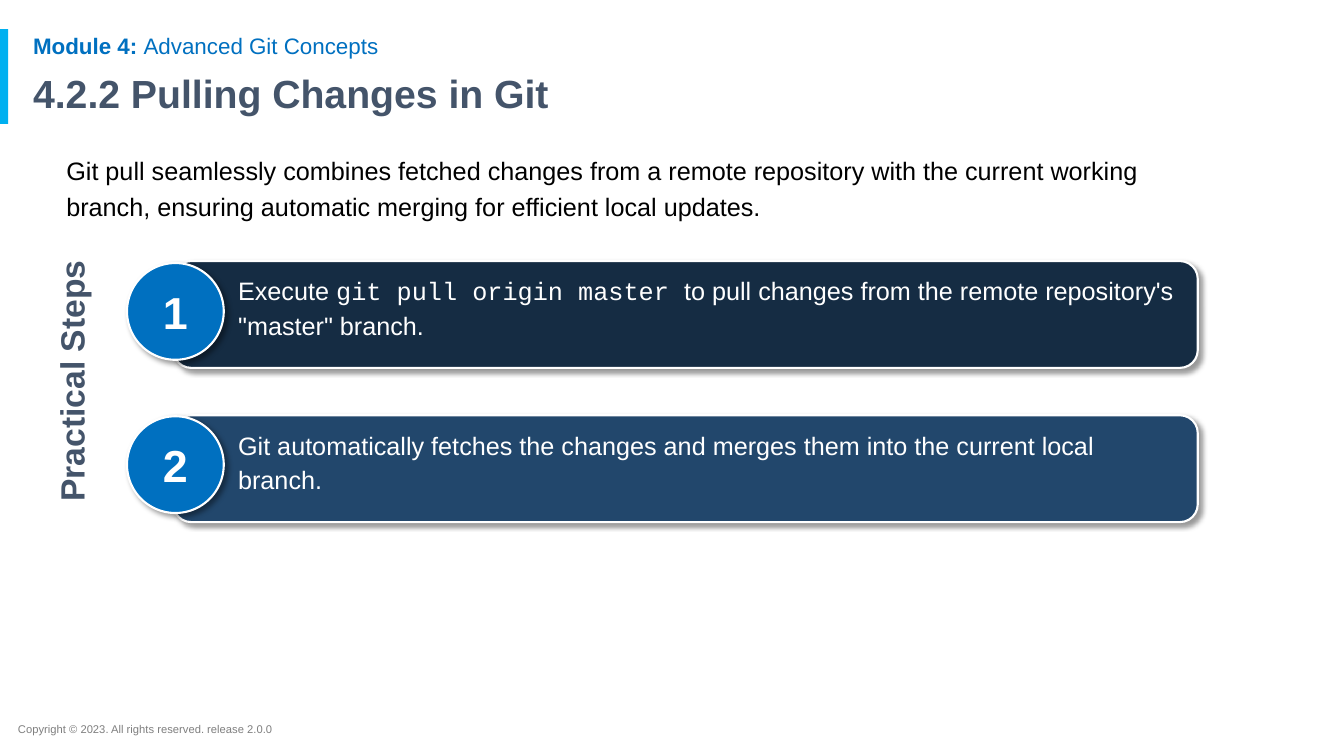
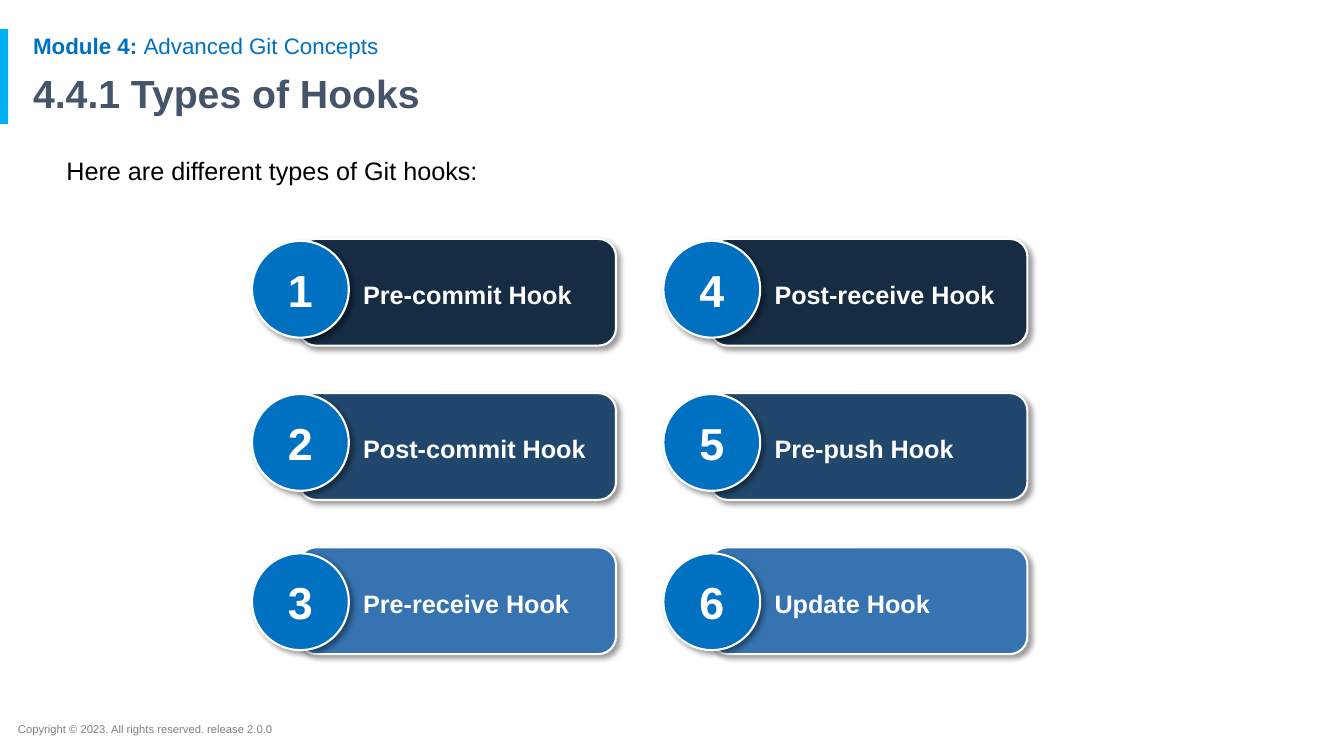
import dataclasses

import lxml.etree
import pptx
import pptx.dml.color
import pptx.enum.shapes
import pptx.enum.text
import pptx.oxml.ns
import pptx.util

Inches = pptx.util.Inches
Pt = pptx.util.Pt
Shape = pptx.enum.shapes.MSO_SHAPE
Anchor = pptx.enum.text.MSO_ANCHOR
Align = pptx.enum.text.PP_ALIGN
qn = pptx.oxml.ns.qn


@dataclasses.dataclass(frozen=True)
class Theme:
    # Fonts and type sizes
    font: str = "Arial"
    code_font: str = "Courier New"
    footer_size: int = 8
    module_size: int = 16
    body_size: int = 18
    label_size: int = 24
    title_size: int = 28
    badge_size: int = 32
    # Colours
    accent: str = "00B0F0"
    blue: str = "0070C0"
    slate: str = "44546A"
    grey: str = "7F7F7F"
    black: str = "000000"
    white: str = "FFFFFF"
    bars: tuple = ("152C43", "22476C", "3673B0")
    # Numbered bars, in inches
    bar_height: float = 1.06
    bar_pitch: float = 1.53
    badge_width: float = 0.96
    badge_left: float = -0.46
    badge_tops: tuple = (0.02, 0.01, 0.06)


THEME = Theme()
INSETS = (0.1, 0.05, 0.1, 0.05)


def rgb(value):
    return pptx.dml.color.RGBColor.from_string(value)


class Deck:
    """Holds the style, the presentation and the current page."""

    def __init__(self, theme):
        self.theme = theme
        self.deck = pptx.Presentation()
        self.deck.slide_width = Inches(13.33)
        self.deck.slide_height = Inches(7.5)
        self.page = None

    def fill_text(self, box, spans, size, color, bold=False, spacing=1.0,
                  align=Align.LEFT, anchor=Anchor.TOP, insets=INSETS):
        """Fill a box with one paragraph; a span is (text, font overrides)."""
        frame = box.text_frame
        frame.word_wrap = True
        frame.vertical_anchor = anchor
        (frame.margin_left, frame.margin_top,
         frame.margin_right, frame.margin_bottom) = map(Inches, insets)
        para = frame.paragraphs[0]
        para.alignment = align
        para.line_spacing = spacing
        para.font.name = self.theme.font
        para.font.size = Pt(size)
        para.font.bold = bold
        para.font.color.rgb = rgb(color)
        if isinstance(spans, str):
            spans = [(spans, {})]
        for words, overrides in spans:
            span = para.add_run()
            span.text = words
            if "bold" in overrides:
                span.font.bold = overrides["bold"]
            if "name" in overrides:
                span.font.name = overrides["name"]

    def text(self, at, spans, size, color, **style):
        box = self.page.shapes.add_textbox(*map(Inches, at))
        self.fill_text(box, spans, size, color, **style)
        return box

    def shape(self, kind, at, fill):
        box = self.page.shapes.add_shape(kind, *map(Inches, at))
        box.shadow.inherit = False
        box.fill.solid()
        box.fill.fore_color.rgb = rgb(fill)
        box.line.fill.background()
        return box

    def raised_shape(self, kind, at, fill):
        """A shape with a white outline and a soft drop shadow."""
        box = self.shape(kind, at, fill)
        box.line.color.rgb = rgb(self.theme.white)
        box.line.width = Pt(1.5)
        effects = box.element.spPr.find(qn("a:effectLst"))
        shadow = lxml.etree.SubElement(
            effects, qn("a:outerShdw"), blurRad=str(Pt(4)), dist=str(Pt(3)),
            dir=str(45 * 60000), algn="tl", rotWithShape="0")
        color = lxml.etree.SubElement(
            shadow, qn("a:srgbClr"), val=self.theme.black)
        lxml.etree.SubElement(color, qn("a:alpha"), val="40000")
        return box

    def new_page(self, title, intro):
        """Start a page with the shared band, footer, module line and title."""
        theme = self.theme
        self.page = self.deck.slides.add_slide(self.deck.slide_layouts[6])
        self.shape(Shape.RECTANGLE, (0, 0.29, 0.08, 0.94), theme.accent)
        self.text((0.08, 7.12, 7.13, 0.24),
                  "Copyright © 2023. All rights reserved. release 2.0.0",
                  theme.footer_size, theme.grey)
        self.text((0.23, 0.3, 11.5, 0.33),
                  [("Module 4: ", {"bold": True}),
                   ("Advanced Git Concepts", {})],
                  theme.module_size, theme.blue, spacing=0.9)
        self.text((0.23, 0.69, 11.5, 0.54), title,
                  theme.title_size, theme.slate, bold=True, spacing=0.9)
        self.text((0.56, 1.43, 11.24, 5.29), intro,
                  theme.body_size, theme.black, spacing=1.2)

    def side_label(self, at, words):
        box = self.text(at, words, self.theme.label_size, self.theme.slate,
                        bold=True, insets=(0.13,) * 4)
        box.rotation = 270

    def numbered_bars(self, left, top, width, items, first=1, **style):
        """Stack rounded bars, each with a round number badge on its left."""
        theme = self.theme
        for row, spans in enumerate(items):
            y = top + row * theme.bar_pitch
            bar = self.raised_shape(
                Shape.ROUNDED_RECTANGLE, (left, y, width, theme.bar_height),
                theme.bars[row])
            self.fill_text(bar, spans, theme.body_size, theme.white,
                           spacing=1.15, insets=(0.59, 0.05, 0.1, 0.05),
                           **style)
            badge = self.raised_shape(
                Shape.OVAL,
                (left + theme.badge_left, y + theme.badge_tops[row],
                 theme.badge_width, theme.badge_width), theme.blue)
            self.fill_text(badge, str(first + row), theme.badge_size,
                           theme.white, bold=True, align=Align.CENTER,
                           anchor=Anchor.MIDDLE)


def build_pulling(deck):
    deck.new_page(
        "4.2.2 Pulling Changes in Git",
        "Git pull seamlessly combines fetched changes from a remote "
        "repository with the current working branch, ensuring automatic "
        "merging for efficient local updates.")
    deck.side_label((-0.63, 3.41, 2.7, 0.69), "Practical Steps")
    deck.numbered_bars(1.72, 2.59, 10.16, [
        [("Execute ", {}),
         ("git pull origin master ", {"name": deck.theme.code_font}),
         ("to pull changes from the remote repository's "
          "\"master\" branch.", {})],
        "Git automatically fetches the changes and merges them into the "
        "current local branch.",
    ])


def build_hooks(deck):
    deck.new_page("4.4.1 Types of Hooks",
                  "Here are different types of Git hooks:")
    columns = [
        ["Pre-commit Hook", "Post-commit Hook", "Pre-receive Hook"],
        ["Post-receive Hook", "Pre-push Hook", "Update Hook"],
    ]
    for column, hooks in enumerate(columns):
        deck.numbered_bars(2.96 + column * 4.08, 2.37, 3.15, hooks,
                           first=1 + column * len(hooks),
                           bold=True, anchor=Anchor.MIDDLE)


def main():
    deck = Deck(THEME)
    build_pulling(deck)
    build_hooks(deck)
    deck.deck.save("out.pptx")


if __name__ == "__main__":
    main()
